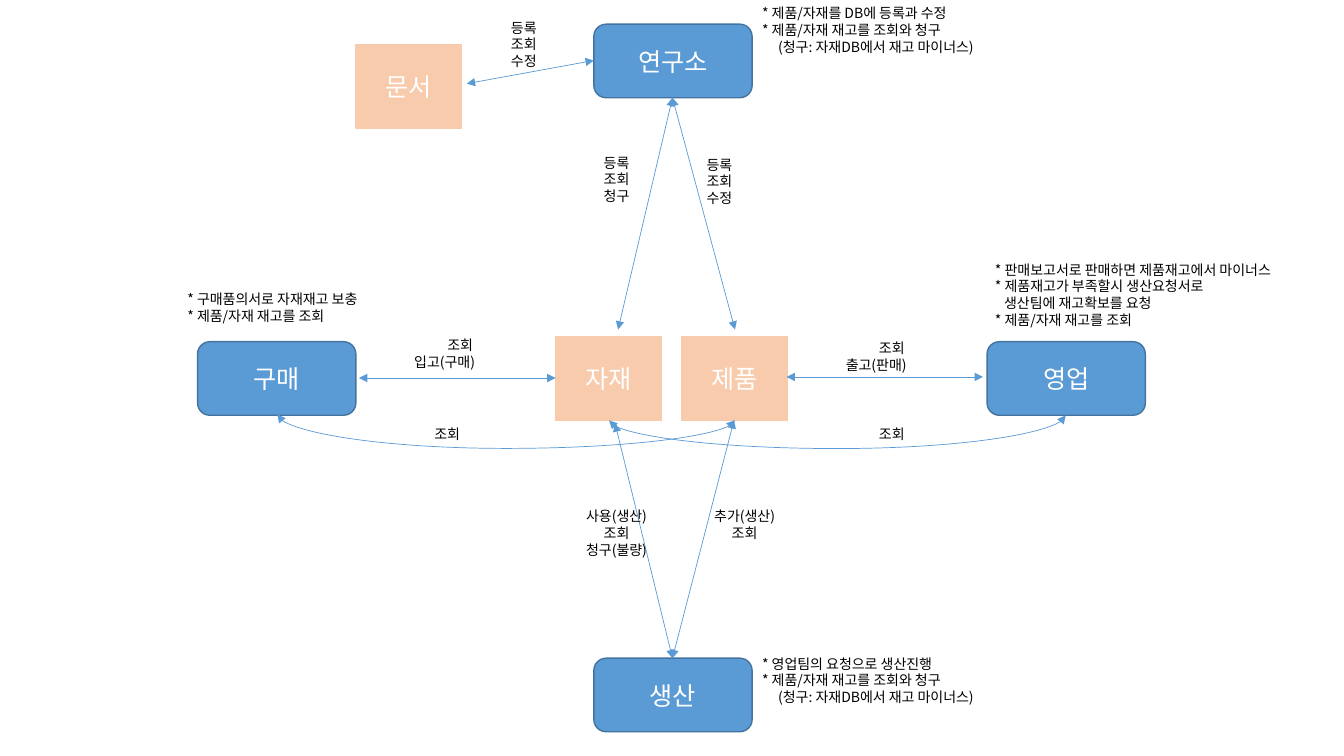
import pptx
import pptx.util
import pptx.dml.color
import pptx.enum.shapes
import pptx.enum.text
import pptx.oxml.ns
import lxml.etree

Inches = pptx.util.Inches
RGBColor = pptx.dml.color.RGBColor
ShapeType = pptx.enum.shapes.MSO_SHAPE
ConnectorType = pptx.enum.shapes.MSO_CONNECTOR
Align = pptx.enum.text.PP_ALIGN
qn = pptx.oxml.ns.qn

BLUE = RGBColor(0x5B, 0x9B, 0xD5)
DARK_BLUE = RGBColor(0x43, 0x73, 0x9E)
PEACH = RGBColor(0xF8, 0xCB, 0xAC)
WHITE = RGBColor(0xFF, 0xFF, 0xFF)
BLACK = RGBColor(0x00, 0x00, 0x00)


class FlowSlide:
    """Holds the style and the slide being drawn."""

    font_name = "Noto Sans CJK KR"
    node_size = 18
    note_size = 10

    def __init__(self, slide):
        """Keep the slide to draw on."""
        self.slide = slide

    def format_paragraph(self, paragraph, size, color, alignment):
        """Set alignment, size, colour and the Latin and East Asian fonts."""
        paragraph.alignment = alignment
        paragraph.font.size = pptx.util.Pt(size)
        paragraph.font.color.rgb = color
        paragraph.font.name = self.font_name
        properties = paragraph._p.pPr.find(qn("a:defRPr"))
        lxml.etree.SubElement(properties, qn("a:ea"), typeface=self.font_name)

    def add_node(self, kind, text, left, top, width, height, fill, line):
        """Draw a filled shape with a centred name."""
        shape = self.slide.shapes.add_shape(
            kind, Inches(left), Inches(top), Inches(width), Inches(height))
        shape.shadow.inherit = False
        shape.fill.solid()
        shape.fill.fore_color.rgb = fill
        shape.line.color.rgb = line
        shape.line.width = pptx.util.Pt(1)
        shape.text_frame.text = text
        self.format_paragraph(shape.text_frame.paragraphs[0],
                              self.node_size, WHITE, Align.CENTER)

    def add_team(self, text, left, top):
        """Draw a team as a blue rounded box."""
        self.add_node(ShapeType.ROUNDED_RECTANGLE, text, left, top,
                      1.57, 0.73, BLUE, DARK_BLUE)

    def add_store(self, text, left, top):
        """Draw a data store as a peach box."""
        self.add_node(ShapeType.RECTANGLE, text, left, top,
                      1.05, 0.83, PEACH, PEACH)

    def add_text(self, lines, left, top, width, alignment):
        """Draw a text box and return its paragraphs."""
        height = 0.1 + 0.17 * len(lines)
        box = self.slide.shapes.add_textbox(
            Inches(left), Inches(top), Inches(width), Inches(height))
        box.text_frame.word_wrap = True
        box.text_frame.text = "\n".join(lines)
        for paragraph in box.text_frame.paragraphs:
            self.format_paragraph(paragraph, self.note_size, BLACK, alignment)
        return box.text_frame.paragraphs

    def add_label(self, lines, left, top, left_aligned=()):
        """Draw a centred arrow label; the given lines go to the left."""
        paragraphs = self.add_text(lines, left, top, 1.11, Align.CENTER)
        for index in left_aligned:
            paragraphs[index].alignment = Align.LEFT

    def add_note(self, lines, left, top, width, indents=None):
        """Draw team notes; indents maps a line number to its left margin."""
        paragraphs = self.add_text(lines, left, top, width, Align.LEFT)
        for index, indent in (indents or {}).items():
            properties = paragraphs[index]._p.get_or_add_pPr()
            properties.set("marL", str(Inches(indent)))
            properties.set("indent", "0")

    def add_arrow(self, start, end, kind=ConnectorType.STRAIGHT):
        """Draw a thin connector with arrowheads at both ends."""
        connector = self.slide.shapes.add_connector(
            kind, *(Inches(value) for value in start + end))
        connector.line.color.rgb = BLUE
        connector.line.width = pptx.util.Pt(0.5)
        line = connector.line._get_or_add_ln()
        for name in ("a:headEnd", "a:tailEnd"):
            lxml.etree.SubElement(line, qn(name), type="triangle")
        lxml.etree.SubElement(connector._element.spPr, qn("a:effectLst"))
        return connector

    def add_curve(self, start, end, bottom):
        """Draw a sagging curve from its higher end to its lower end."""
        connector = self.add_arrow(start, end, ConnectorType.CURVE)
        drop, span = end[1] - start[1], abs(end[0] - start[0])
        connector.left = Inches((start[0] + end[0] - drop) / 2)
        connector.top = Inches((start[1] + end[1] - span) / 2)
        connector.width, connector.height = Inches(drop), Inches(span)
        properties = connector._element.spPr
        frame = properties.find(qn("a:xfrm"))
        frame.attrib.pop("flipH", None)
        if end[0] > start[0]:
            frame.set("rot", str(270 * 60000))
            frame.set("flipH", "1")
        else:
            frame.set("rot", str(90 * 60000))
        adjustments = properties.find(qn("a:prstGeom")).get_or_add_avLst()
        sag = round((bottom - start[1]) / drop * 100000)
        lxml.etree.SubElement(adjustments, qn("a:gd"),
                              name="adj1", fmla=f"val {sag}")


presentation = pptx.Presentation()
presentation.slide_width = Inches(13.33)
presentation.slide_height = Inches(7.5)
flow = FlowSlide(presentation.slides.add_slide(presentation.slide_layouts[6]))

for name, left, top in (("연구소", 5.89, 0.24), ("생산", 5.89, 6.53),
                        ("영업", 9.79, 3.39), ("구매", 1.96, 3.39)):
    flow.add_team(name, left, top)

for name, left, top in (("자재", 5.51, 3.34), ("제품", 6.76, 3.34),
                        ("문서", 3.53, 0.44)):
    flow.add_store(name, left, top)

STOCK_REQUEST = ["* 제품/자재 재고를 조회와 청구", "(청구: 자재DB에서 재고 마이너스)"]
STOCK_VIEW = "* 제품/자재 재고를 조회"
flow.add_note(["* 제품/자재를 DB에 등록과 수정"] + STOCK_REQUEST,
              7.46, 0, 2.78, {2: 0.16})
flow.add_note(["* 영업팀의 요청으로 생산진행"] + STOCK_REQUEST,
              7.46, 6.45, 3.58, {2: 0.16})
flow.add_note(["* 판매보고서로 판매하면 제품재고에서 마이너스",
               "* 제품재고가 부족할시 생산요청서로",
               "생산팀에 재고확보를 요청", STOCK_VIEW],
              9.77, 2.54, 3.28, {2: 0.09})
flow.add_note(["* 구매품의서로 자재재고 보충", STOCK_VIEW], 1.76, 2.83, 3.58)

research_bottom = (6.67, 0.97)
production_top = (6.67, 6.53)
for start, end in ((research_bottom, (6.13, 3.27)),
                   (research_bottom, (7.29, 3.27)),
                   ((4.63, 0.83), (5.89, 0.6)),
                   ((3.56, 3.75), (5.51, 3.75)),
                   ((7.8, 3.74), (9.75, 3.74)),
                   ((6.1, 4.2), production_top),
                   ((7.28, 4.17), production_top)):
    flow.add_arrow(start, end)
flow.add_curve((2.75, 4.11), (7.29, 4.17), 4.45)
flow.add_curve((10.57, 4.12), (6.04, 4.17), 4.45)

for lines, left, top in ((["등록", "조회", "청구"], 5.56, 1.48),
                         (["등록", "조회", "수정"], 6.58, 1.5),
                         (["등록", "조회", "수정"], 4.64, 0.14),
                         (["사용(생산)", "조회", "청구(불량)"], 5.56, 4.99),
                         (["추가(생산)", "조회"], 6.83, 4.99),
                         (["조회"], 3.88, 4.17),
                         (["조회"], 8.29, 4.17)):
    flow.add_label(lines, left, top)
flow.add_label(["조회", "입고(구매)"], 4.01, 3.29, left_aligned=[1])
flow.add_label(["조회", "출고(판매)"], 8.29, 3.32, left_aligned=[1])

presentation.save("out.pptx")
